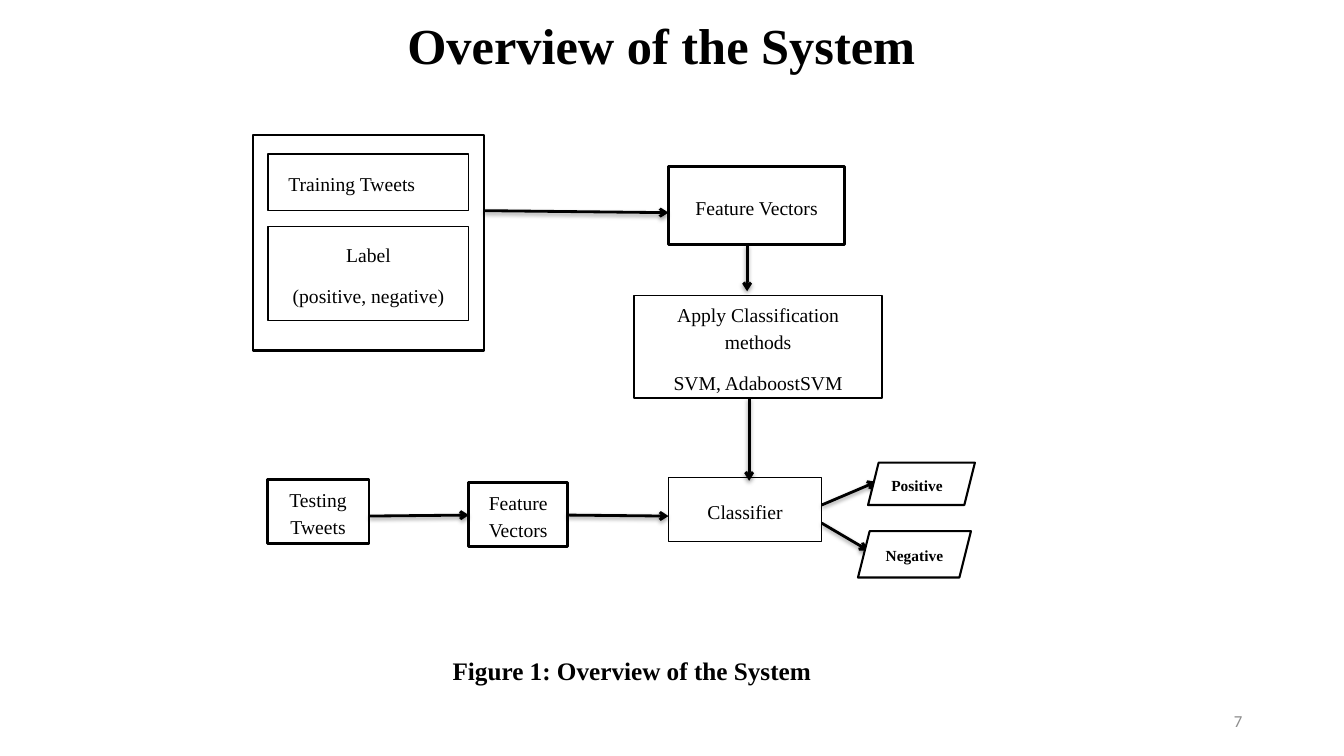
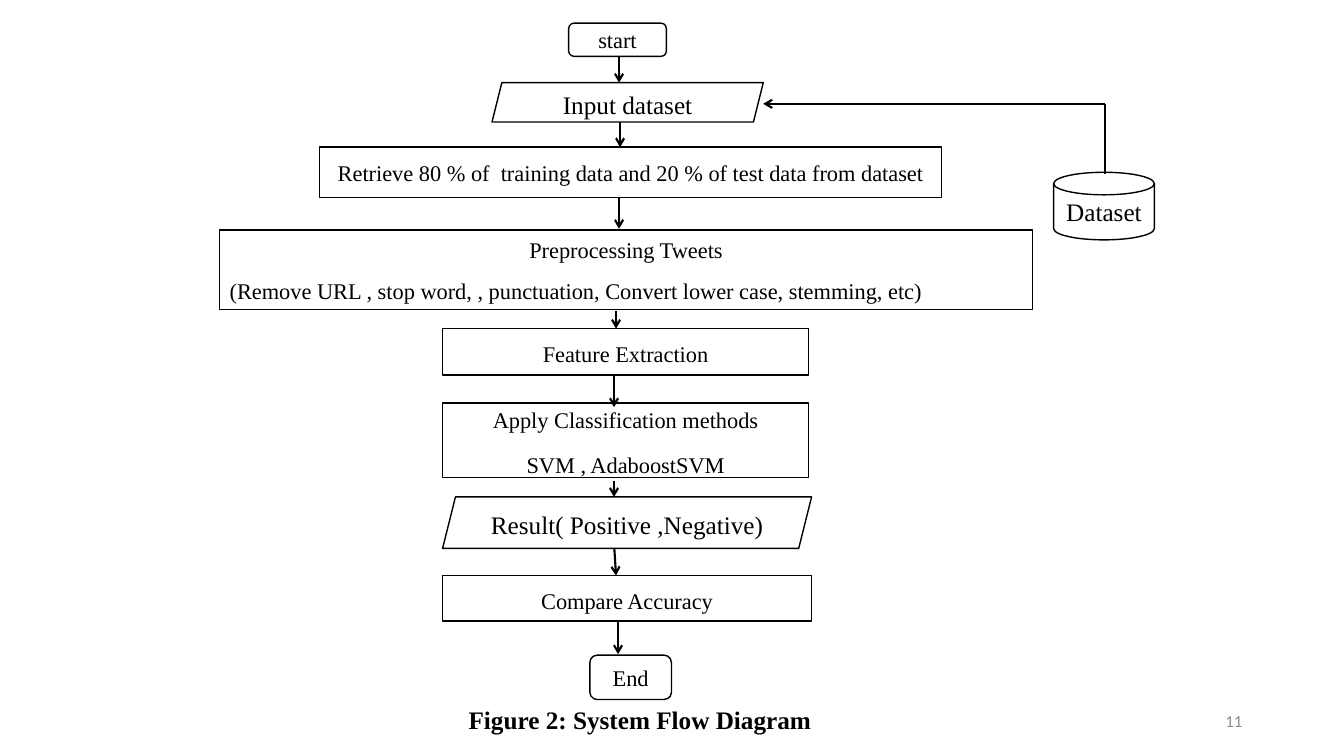
import itertools
from dataclasses import dataclass

import pptx
import pptx.dml.color
import pptx.enum.shapes
import pptx.enum.text
import pptx.oxml
import pptx.oxml.ns
import pptx.presentation
import pptx.shapes.connector
import pptx.slide
import pptx.text.text
import pptx.util
from pptx.util import Inches

COLORS = {"ink": "000000", "paper": "FFFFFF", "page_number": "8C8C8C"}
SERIF = "Times New Roman"
SANS = "Calibri"
TITLE_ONLY, BLANK = 5, 6

ALIGN = pptx.enum.text.PP_ALIGN
ANCHOR = pptx.enum.text.MSO_ANCHOR
SHAPE = pptx.enum.shapes.MSO_SHAPE
RECT = SHAPE.RECTANGLE
ROUNDED = SHAPE.ROUNDED_RECTANGLE
SLANTED = SHAPE.PARALLELOGRAM
DISK = SHAPE.FLOWCHART_MAGNETIC_DISK


@dataclass(frozen=True)
class Node:
    lines: tuple[str, ...]
    left: float
    top: float
    width: float
    height: float
    kind: SHAPE = RECT
    size: float = 14
    border: float = 1
    bold: bool = False
    aligns: tuple[ALIGN, ...] = (ALIGN.CENTER,)
    spacing: float = 1.15
    after: float = 10
    inset: float = 0.1


@dataclass(frozen=True)
class Link:
    x1: float
    y1: float
    x2: float
    y2: float
    arrow: bool = True


SYSTEM_STEPS = (
    Node((), 2.51, 1.34, 2.29, 2.14, border=2),
    Node(("Training Tweets",), 2.66, 1.53, 1.99, 0.56, aligns=(ALIGN.LEFT,), inset=0.2),
    Node(("Label", "(positive, negative)"), 2.66, 2.25, 1.99, 0.93),
    Node(("Feature Vectors",), 6.63, 1.65, 1.75, 0.78, border=2),
    Node(("Apply Classification methods", "SVM, AdaboostSVM"), 6.29, 2.93, 2.46, 1.02),
    Node(("Testing Tweets",), 2.65, 4.76, 1.01, 0.63, border=2),
    Node(("Feature Vectors",), 4.65, 4.79, 0.98, 0.63, border=2),
    Node(("Classifier",), 6.63, 4.74, 1.52, 0.63),
)
SYSTEM_LINKS = (
    Link(4.8, 2.09, 6.63, 2.11),
    Link(7.41, 2.43, 7.41, 2.89),
    Link(7.43, 3.95, 7.43, 4.77),
    Link(3.66, 5.12, 4.65, 5.11),
    Link(5.63, 5.11, 6.63, 5.12),
    Link(8.15, 5.01, 8.69, 4.78),
    Link(8.15, 5.19, 8.61, 5.46),
)
SYSTEM_OUTCOMES = (
    Node(("Positive",), 8.61, 4.59, 1.06, 0.42, SLANTED, 11, 1.5, True, (ALIGN.LEFT,)),
    Node(("Negative",), 8.51, 5.27, 1.12, 0.46, SLANTED, 11, 1.5, True),
)

FLOW_STEPS = (
    Node(("start",), 5.64, 0.23, 0.97, 0.33, ROUNDED, 16, spacing=1, after=0),
    Node(("Retrieve 80 % of  training data and 20 % of test data from dataset",),
         3.17, 1.46, 6.17, 0.5, size=16, spacing=1, after=0),
    Node(("Preprocessing Tweets",
          "(Remove URL , stop word, , punctuation, Convert lower case, stemming, etc)"),
         2.18, 2.28, 8.06, 0.79, size=16, spacing=1, aligns=(ALIGN.CENTER, ALIGN.LEFT)),
    Node(("Feature Extraction",), 4.39, 3.26, 3.63, 0.46, size=16),
    Node(("Apply Classification methods", "SVM , AdaboostSVM"), 4.39, 4, 3.63, 0.74, size=16),
    Node(("Compare Accuracy",), 4.39, 5.71, 3.66, 0.45, size=16),
    Node(("End",), 5.85, 6.5, 0.81, 0.44, ROUNDED, 16, spacing=1, after=0),
    Node(("Dataset",), 10.45, 1.71, 1, 0.67, DISK, 18, spacing=1, after=0),
)
FLOW_LINKS = (
    Link(6.14, 0.56, 6.14, 0.82),
    Link(6.15, 1.21, 6.15, 1.46),
    Link(6.14, 1.96, 6.14, 2.27),
    Link(6.11, 3.09, 6.11, 3.26),
    Link(6.09, 3.73, 6.09, 4.04),
    Link(6.09, 4.77, 6.09, 4.93),
    Link(6.09, 5.39, 6.11, 5.71),
    Link(6.13, 6.16, 6.13, 6.49),
    Link(10.96, 1.03, 7.57, 1.03),
    Link(10.96, 1.03, 10.96, 1.73, arrow=False),
)
FLOW_DATA = (
    Node(("Input dataset",), 4.88, 0.82, 2.69, 0.39, SLANTED, 18),
    Node(("Result( Positive ,Negative)",), 4.39, 4.93, 3.66, 0.51, SLANTED, 18),
)


def rgb(name: str) -> pptx.dml.color.RGBColor:
    return pptx.dml.color.RGBColor.from_string(COLORS[name])


def write(
    frame: pptx.text.text.TextFrame,
    *lines: str,
    size: float,
    font: str = SERIF,
    color: str = "ink",
    bold: bool = False,
    aligns: tuple[ALIGN, ...] = (ALIGN.LEFT,),
    anchor: ANCHOR = ANCHOR.TOP,
    spacing: float = 1,
    after: float = 0,
    inset: float = 0.1,
) -> None:
    frame.word_wrap = True
    frame.auto_size = pptx.enum.text.MSO_AUTO_SIZE.NONE
    frame.vertical_anchor = anchor
    frame.margin_left = Inches(inset)
    for index, (line, align) in enumerate(zip(lines, itertools.cycle(aligns))):
        paragraph = frame.add_paragraph() if index else frame.paragraphs[0]
        paragraph.alignment = align
        paragraph.line_spacing = spacing
        paragraph.space_after = pptx.util.Pt(after)
        run = paragraph.add_run()
        run.text = line
        run.font.name = font
        run.font.size = pptx.util.Pt(size)
        run.font.bold = bold
        run.font.color.rgb = rgb(color)


def add_label(
    slide: pptx.slide.Slide, text: str, left: float, top: float,
    width: float, height: float, **text_format,
) -> None:
    label = slide.shapes.add_textbox(Inches(left), Inches(top), Inches(width), Inches(height))
    write(label.text_frame, text, **text_format)


def add_page_number(slide: pptx.slide.Slide, number: int) -> None:
    add_label(slide, str(number), 9.42, 6.95, 3, 0.4, size=12, font=SANS,
              color="page_number", aligns=(ALIGN.RIGHT,), anchor=ANCHOR.MIDDLE)


def add_caption(
    slide: pptx.slide.Slide, text: str, left: float, top: float, width: float
) -> None:
    add_label(slide, text, left, top, width, 0.4, size=18, bold=True)


def add_node(slide: pptx.slide.Slide, node: Node) -> None:
    step = slide.shapes.add_shape(
        node.kind, Inches(node.left), Inches(node.top), Inches(node.width), Inches(node.height)
    )
    step.shadow.inherit = False
    step.fill.solid()
    step.fill.fore_color.rgb = rgb("paper")
    step.line.color.rgb = rgb("ink")
    step.line.width = pptx.util.Pt(node.border)
    if node.lines:
        write(step.text_frame, *node.lines, size=node.size, bold=node.bold,
              aligns=node.aligns, anchor=ANCHOR.MIDDLE, spacing=node.spacing,
              after=node.after, inset=node.inset)


def set_effects(connector: pptx.shapes.connector.Connector, shadow: bool) -> None:
    properties = connector._element.spPr
    effects = pptx.oxml.parse_xml(f"<a:effectLst {pptx.oxml.ns.nsdecls('a')}/>")
    if shadow:
        effects.append(pptx.oxml.parse_xml(
            f'<a:outerShdw {pptx.oxml.ns.nsdecls("a")} blurRad="{pptx.util.Pt(3.1)}" '
            f'dist="{pptx.util.Pt(1.6)}" dir="5400000" rotWithShape="0">'
            f'<a:srgbClr val="{COLORS["ink"]}"><a:alpha val="38000"/></a:srgbClr>'
            "</a:outerShdw>"
        ))
    properties.append(effects)


def add_link(slide: pptx.slide.Slide, link: Link, width: float, shadow: bool) -> None:
    connector = slide.shapes.add_connector(
        pptx.enum.shapes.MSO_CONNECTOR.STRAIGHT,
        Inches(link.x1), Inches(link.y1), Inches(link.x2), Inches(link.y2),
    )
    connector.line.color.rgb = rgb("ink")
    connector.line.width = pptx.util.Pt(width)
    if link.arrow:
        connector.line._get_or_add_ln().append(pptx.oxml.parse_xml(
            f'<a:tailEnd {pptx.oxml.ns.nsdecls("a")} type="arrow"/>'
        ))
    set_effects(connector, shadow)


def draw_diagram(
    slide: pptx.slide.Slide,
    steps: tuple[Node, ...],
    links: tuple[Link, ...],
    data: tuple[Node, ...],
    link_width: float,
    shadow: bool = False,
) -> None:
    for node in steps:
        add_node(slide, node)
    for link in links:
        add_link(slide, link, link_width, shadow)
    for node in data:
        add_node(slide, node)


def build_overview(deck: pptx.presentation.Presentation) -> None:
    slide = deck.slides.add_slide(deck.slide_layouts[TITLE_ONLY])
    heading = slide.shapes.title
    heading.left, heading.top = Inches(0), Inches(0.09)
    heading.width, heading.height = Inches(13.12), Inches(1.31)
    write(heading.text_frame, "Overview of the System", size=36, bold=True,
          aligns=(ALIGN.CENTER,))
    draw_diagram(slide, SYSTEM_STEPS, SYSTEM_LINKS, SYSTEM_OUTCOMES, link_width=2, shadow=True)
    add_caption(slide, "Figure 1: Overview of the System", 4.39, 6.45, 5.12)
    add_page_number(slide, 7)


def build_flow(deck: pptx.presentation.Presentation) -> None:
    slide = deck.slides.add_slide(deck.slide_layouts[BLANK])
    draw_diagram(slide, FLOW_STEPS, FLOW_LINKS, FLOW_DATA, link_width=1.5)
    add_caption(slide, "Figure 2: System Flow Diagram", 4.55, 6.94, 3.63)
    add_page_number(slide, 11)


def main() -> None:
    deck = pptx.Presentation()
    deck.slide_width, deck.slide_height = Inches(13.33), Inches(7.5)
    build_overview(deck)
    build_flow(deck)
    deck.save("out.pptx")


if __name__ == "__main__":
    main()
